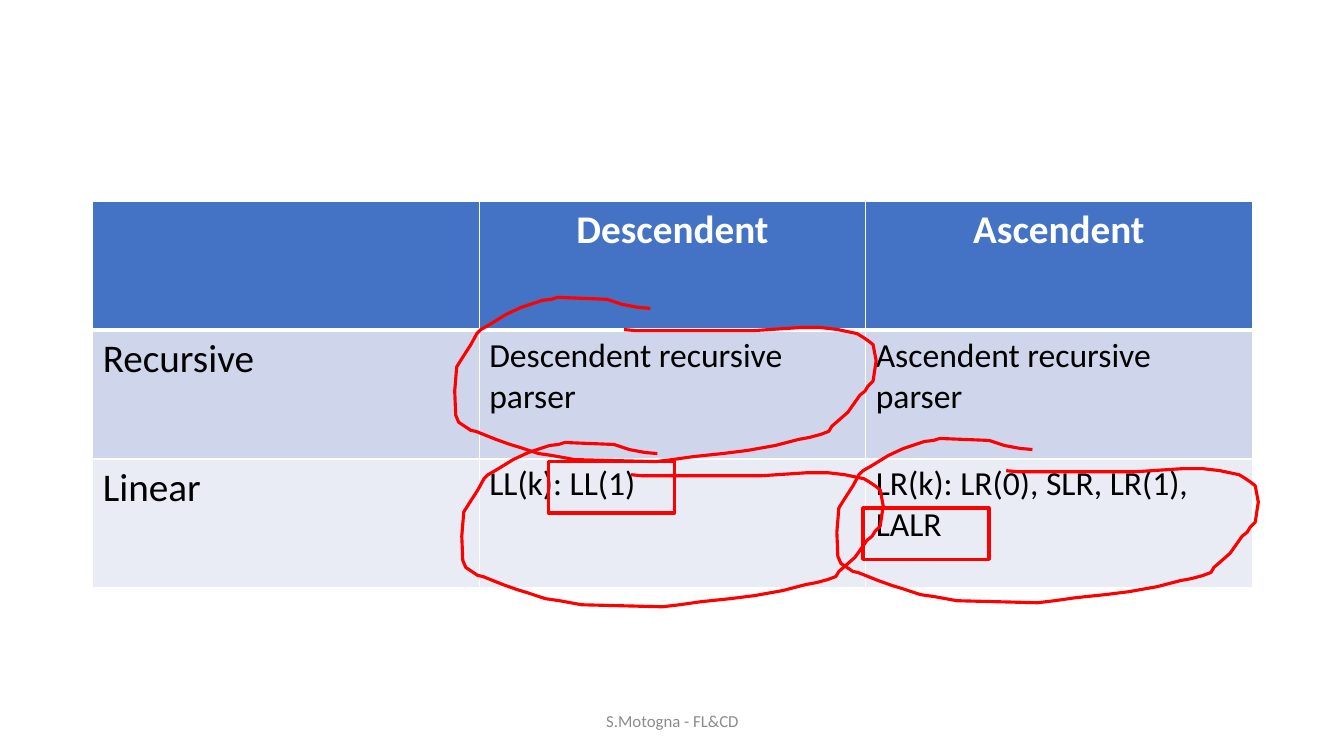
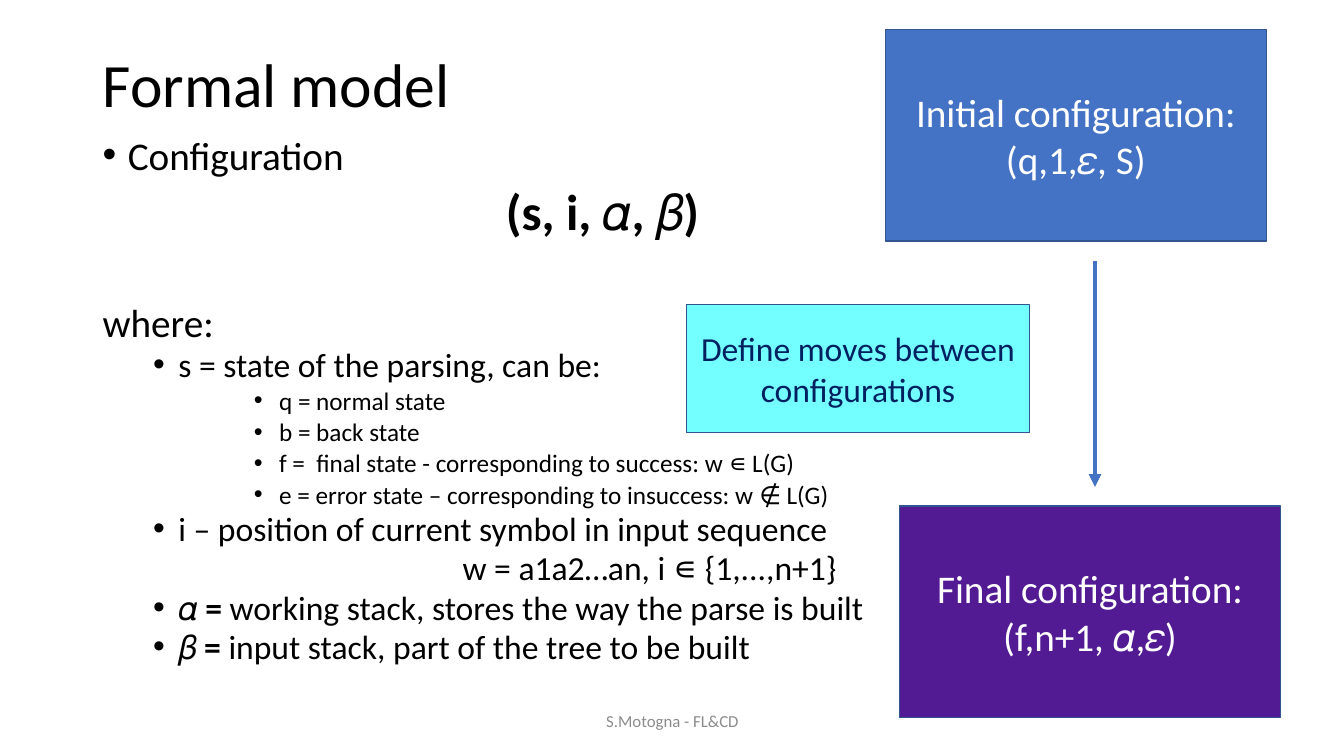
"""Build two slides on parser families and the formal model of a parser."""
from dataclasses import dataclass

from lxml import etree
from pptx import Presentation
from pptx.dml.color import RGBColor
from pptx.enum.shapes import MSO_CONNECTOR, MSO_SHAPE
from pptx.enum.text import MSO_ANCHOR, PP_ALIGN
from pptx.oxml.ns import qn
from pptx.shapes.base import BaseShape
from pptx.slide import Slide
from pptx.table import _Cell
from pptx.text.text import TextFrame, _Paragraph
from pptx.util import Emu, Pt

RECTANGLE = MSO_SHAPE.RECTANGLE
STRAIGHT = MSO_CONNECTOR.STRAIGHT
TOP, MIDDLE = MSO_ANCHOR.TOP, MSO_ANCHOR.MIDDLE
LEFT, CENTER = PP_ALIGN.LEFT, PP_ALIGN.CENTER
EMU_PER_PX = 9144
BLANK_LAYOUT = 6


@dataclass(frozen=True)
class Theme:
    font: str = "Calibri"
    bullet_font: str = "Arial"
    white: str = "FFFFFF"
    black: str = "000000"
    grey: str = "8C8C8C"
    blue: str = "4472C4"
    outline: str = "325491"
    purple: str = "521B93"
    cyan: str = "73FEFF"
    navy: str = "002060"
    red: str = "FF0000"
    bands: tuple[str, str] = ("CFD5EA", "E9EBF5")
    title: int = 44
    formula: int = 36
    large: int = 28
    medium: int = 24
    small: int = 18
    footer: int = 12
    mark_width: float = 2.25


THEME = Theme()


@dataclass(frozen=True)
class Area:
    left: int
    top: int
    width: int
    height: int

    def emu(self) -> tuple[Emu, Emu, Emu, Emu]:
        return px(self.left), px(self.top), px(self.width), px(self.height)


@dataclass(frozen=True)
class Span:
    text: str
    bold: bool = False


@dataclass(frozen=True)
class Line:
    spans: tuple[Span, ...]
    size: int
    color: str = THEME.black
    bold: bool = False
    align: PP_ALIGN = LEFT
    level: int = 0
    indent: int = 0
    bullet: bool = False
    spacing: float = 1.0
    before: int = 0


@dataclass(frozen=True)
class Box:
    area: Area
    lines: tuple[Line, ...] = ()
    fill: str | None = None
    outline: str = THEME.outline
    weight: float = 1


def px(length: int) -> Emu:
    return Emu(length * EMU_PER_PX)


def rgb(color: str) -> RGBColor:
    return RGBColor.from_string(color)


def plain(text: str, size: int, color: str = THEME.black, **options) -> Line:
    return Line((Span(text),), size, color, **options)


def centered(text: str, size: int, color: str, bold: bool = False) -> Line:
    return plain(text, size, color, bold=bold, align=CENTER)


def body(text: str | tuple[Span, ...], size: int, level: int = 0, indent: int = 0,
         bullet: bool = True, bold: bool = False, before: int | None = None) -> Line:
    spans = (Span(text),) if isinstance(text, str) else text
    gap = (5 if level else 10) if before is None else before
    return Line(spans, size, level=level, indent=indent, bullet=bullet, bold=bold,
                spacing=0.8, before=gap)


def write_line(para: _Paragraph, line: Line) -> None:
    properties = para._p.get_or_add_pPr()
    properties.set("marL", str(px(line.indent)))
    properties.set("indent", str(px(-25 if line.bullet else 0)))
    if line.bullet:
        etree.SubElement(properties, qn("a:buFont"), typeface=THEME.bullet_font)
        etree.SubElement(properties, qn("a:buChar"), char="•")
    para.level, para.alignment = line.level, line.align
    para.line_spacing, para.space_before = line.spacing, Pt(line.before)
    para.font.name, para.font.size = THEME.font, Pt(line.size)
    para.font.bold = line.bold
    para.font.color.rgb = rgb(line.color)
    for span in line.spans:
        run = para.add_run()
        run.text = span.text
        if span.bold:
            run.font.bold = True


def write_lines(frame: TextFrame, lines: tuple[Line, ...], anchor: MSO_ANCHOR) -> None:
    frame.word_wrap = True
    frame.vertical_anchor = anchor
    for index, line in enumerate(lines):
        write_line(frame.add_paragraph() if index else frame.paragraphs[0], line)


def add_text(page: Slide, area: Area, *lines: Line, anchor: MSO_ANCHOR = MIDDLE) -> None:
    write_lines(page.shapes.add_textbox(*area.emu()).text_frame, lines, anchor)


def style_shape(shape: BaseShape, fill: str | None, outline: str, weight: float) -> None:
    shape.shadow.inherit = False
    if fill:
        shape.fill.solid()
        shape.fill.fore_color.rgb = rgb(fill)
    else:
        shape.fill.background()
    shape.line.color.rgb = rgb(outline)
    shape.line.width = Pt(weight)


def add_box(page: Slide, box: Box) -> None:
    shape = page.shapes.add_shape(RECTANGLE, *box.area.emu())
    style_shape(shape, box.fill, box.outline, box.weight)
    write_lines(shape.text_frame, box.lines, MIDDLE)


def add_loop(page: Slide, left: int, top: int) -> None:
    builder = page.shapes.build_freeform(*LOOP[0], scale=EMU_PER_PX)
    builder.add_line_segments(LOOP[1:], close=False)
    shape = builder.convert_to_shape(px(left), px(top))
    style_shape(shape, None, THEME.red, THEME.mark_width)


def add_arrow(page: Slide, x: int, top: int, bottom: int) -> None:
    arrow = page.shapes.add_connector(STRAIGHT, px(x), px(top), px(x), px(bottom))
    arrow.line.color.rgb = rgb(THEME.blue)
    arrow.line.width = Pt(3)
    etree.SubElement(arrow.line._get_or_add_ln(), qn("a:tailEnd"), type="triangle")
    etree.SubElement(arrow._element.spPr, qn("a:effectLst"))


def add_borders(cell: _Cell, top: int, bottom: int) -> None:
    properties = cell._tc.get_or_add_tcPr()
    for index, (side, width) in enumerate((("L", 1), ("R", 1), ("T", top), ("B", bottom))):
        border = etree.Element(qn(f"a:ln{side}"), w=str(Pt(width)))
        fill = etree.SubElement(border, qn("a:solidFill"))
        etree.SubElement(fill, qn("a:srgbClr"), val=THEME.white)
        properties.insert(index, border)


def add_parser_table(page: Slide, area: Area) -> None:
    table = page.shapes.add_table(len(PARSERS), len(PARSERS[0]), *area.emu()).table
    table.horz_banding = False
    for row, texts in enumerate(PARSERS):
        for column, text in enumerate(texts):
            cell = table.cell(row, column)
            cell.fill.solid()
            cell.fill.fore_color.rgb = rgb(THEME.bands[row - 1] if row else THEME.blue)
            add_borders(cell, top=3 if row == 1 else 1, bottom=1 if row else 3)
            if row:
                line = plain(text, THEME.medium if column else THEME.large)
            else:
                line = centered(text, THEME.large, THEME.white, bold=True)
            write_line(cell.text_frame.paragraphs[0], line)


def add_page(deck: Presentation) -> Slide:
    page = deck.slides.add_slide(deck.slide_layouts[BLANK_LAYOUT])
    add_text(page, Area(442, 695, 450, 40),
             centered("S.Motogna - FL&CD", THEME.footer, THEME.grey))
    return page


PARSERS = (
    ("", "Descendent", "Ascendent"),
    ("Recursive", "Descendent recursive parser", "Ascendent recursive parser"),
    ("Linear", "LL(k): LL(1)", "LR(k): LR(0), SLR, LR(1), LALR"),
)
LOOP = (
    (168, 32), (179, 33), (237, 33), (297, 33), (343, 30), (363, 30), (380, 32),
    (399, 36), (404, 39), (410, 43), (415, 47), (418, 63), (415, 83), (410, 88),
    (407, 93), (402, 97), (390, 114), (374, 128), (371, 133), (363, 136), (352, 139),
    (341, 141), (318, 147), (290, 152), (266, 155), (237, 158), (216, 161), (199, 163),
    (119, 161), (97, 157), (83, 155), (77, 153), (65, 149), (55, 146), (41, 141),
    (21, 133), (16, 132), (4, 124), (1, 117), (0, 93), (2, 69), (7, 61), (16, 47),
    (22, 36), (26, 32), (33, 28), (38, 25), (51, 17), (66, 10), (87, 3), (96, 2),
    (102, 0), (151, 2), (166, 7), (182, 10), (194, 11),
)
LOOP_CORNERS = ((451, 295), (458, 439), (830, 435))
MARK_CORNERS = ((544, 458), (856, 504))
STATES = (
    "q = normal state",
    "b = back state",
    "f =  final state - corresponding to success: w ∊ L(G)",
    "e = error state – corresponding to insuccess: w ∉ L(G)",
)
MODEL = (
    body("Configuration", THEME.large, indent=25),
    body("(s, i, 𝛼, 𝛽)", THEME.formula, indent=400, bullet=False, bold=True),
    body("where:", THEME.large, bullet=False, before=48),
    body("s = state of the parsing, can be:", THEME.medium, 1, 75),
    *(body(state, THEME.small, 3, 175) for state in STATES),
    body("i – position of current symbol in input sequence", THEME.medium, 1, 75),
    body("w = a1a2…an, i ∊ {1,...,n+1}", THEME.medium, 1, 357, bullet=False),
    body((Span("𝛼 = ", True), Span("working stack, stores the way the parse is built")),
         THEME.medium, 1, 75),
    body((Span("𝛽 = ", True), Span("input stack, part of the tree to be built")),
         THEME.medium, 1, 75),
)
CONFIGURATION_BOXES = (
    Box(Area(878, 29, 378, 210),
        (centered("Initial configuration:", THEME.large, THEME.white),
         centered("(q,1,𝜀, S)", THEME.large, THEME.white)), THEME.blue),
    Box(Area(892, 502, 378, 210),
        (centered("Final configuration:", THEME.large, THEME.white),
         Line((Span("(f,n+1,"), Span(" 𝛼", True), Span(",𝜀)")),
              THEME.large, THEME.white, align=CENTER)), THEME.purple),
    Box(Area(681, 302, 340, 127),
        (centered("Define moves between configurations", THEME.medium, THEME.navy),),
        THEME.cyan),
)


def build_parsers_page(deck: Presentation) -> None:
    page = add_page(deck)
    add_parser_table(page, Area(92, 200, 1150, 383))
    for left, top in LOOP_CORNERS:
        add_loop(page, left, top)
    for left, top in MARK_CORNERS:
        add_box(page, Box(Area(left, top, 125, 51), outline=THEME.red,
                          weight=THEME.mark_width))


def build_model_page(deck: Presentation) -> None:
    page = add_page(deck)
    add_text(page, Area(92, 40, 1150, 94), plain("Formal model", THEME.title, spacing=0.9))
    add_text(page, Area(92, 134, 1150, 541), *MODEL, anchor=TOP)
    for box in CONFIGURATION_BOXES:
        add_box(page, box)
    add_arrow(page, 1086, 259, 483)


def main() -> None:
    deck = Presentation()
    deck.slide_width, deck.slide_height = px(1333), px(750)
    build_parsers_page(deck)
    build_model_page(deck)
    deck.save("out.pptx")


if __name__ == "__main__":
    main()
